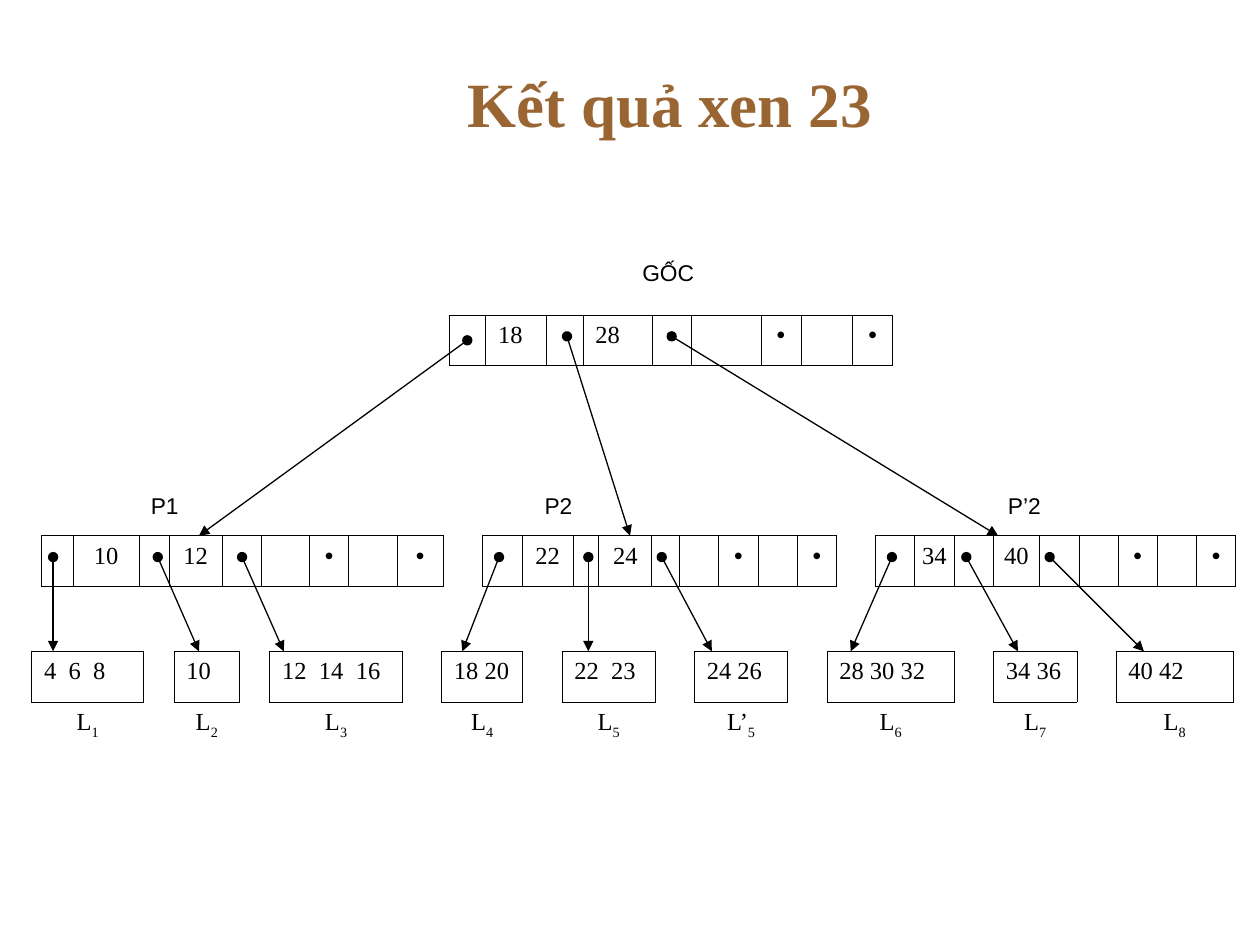
import pptx
import pptx.dml.color
import pptx.enum.shapes
import pptx.enum.text
import pptx.oxml
import pptx.oxml.ns
import pptx.util
import lxml.etree

Cm = pptx.util.Cm
Pt = pptx.util.Pt
ALIGN = pptx.enum.text.PP_ALIGN
MIDDLE = pptx.enum.text.MSO_ANCHOR.MIDDLE
qn = pptx.oxml.ns.qn
BLACK = pptx.dml.color.RGBColor(0x00, 0x00, 0x00)
BROWN = pptx.dml.color.RGBColor(0x99, 0x66, 0x33)
SERIF = "Times New Roman"
SANS = "Arial"


def add_run(paragraph, text, size, font_name, color=BLACK):
    run = paragraph.add_run()
    run.text = text
    run.font.size = Pt(size)
    run.font.name = font_name
    run.font.color.rgb = color
    return run


def add_grid(left, top, widths, heights, boxes, labels, align, padding):
    rows = [boxes, labels] if labels else [boxes]
    table = slide.shapes.add_table(
        len(rows), len(widths), Cm(left), Cm(top), Cm(sum(widths)), Cm(sum(heights))
    ).table
    table.first_row = False
    table.horz_banding = False
    for column, width in zip(table.columns, widths):
        column.width = Cm(width)
    for row, height in zip(table.rows, heights):
        row.height = Cm(height)
    boxed = {(0, c) for c, text in enumerate(boxes) if text is not None}
    for r, texts in enumerate(rows):
        for c, text in enumerate(texts):
            cell = table.cell(r, c)
            cell.margin_left = cell.margin_right = Cm(padding)
            cell.margin_top = cell.margin_bottom = Cm(0.13)
            properties = cell._tc.get_or_add_tcPr()
            neighbours = {"L": (r, c - 1), "R": (r, c + 1), "T": (r - 1, c), "B": (r + 1, c)}
            for side, neighbour in neighbours.items():
                edge = lxml.etree.SubElement(properties, qn("a:ln" + side), w=str(Pt(0.45)))
                if (r, c) in boxed or neighbour in boxed:
                    paint = lxml.etree.SubElement(edge, qn("a:solidFill"))
                    lxml.etree.SubElement(paint, qn("a:srgbClr"), val=str(BLACK))
                else:
                    lxml.etree.SubElement(edge, qn("a:noFill"))
            cell.fill.background()
            if not text:
                continue
            paragraph = cell.text_frame.paragraphs[0]
            paragraph.alignment = ALIGN.CENTER if r or text == "•" else align
            if r:
                add_run(paragraph, text[:-1], 14, SERIF)
                subscript = add_run(paragraph, text[-1], 14, SERIF)
                subscript._r.get_or_add_rPr().set("baseline", "-30000")
            else:
                add_run(paragraph, text, 14, SANS if text == "•" else SERIF)


prs = pptx.Presentation()
prs.slide_width = Cm(25.4)
prs.slide_height = Cm(19.05)
slide = prs.slides.add_slide(prs.slide_layouts[5])

title = slide.shapes.title
title.left, title.top, title.width, title.height = Cm(3.18), Cm(0.76), Cm(20.96), Cm(2.62)
title.text_frame.vertical_anchor = MIDDLE
heading = title.text_frame.paragraphs[0]
heading.alignment = ALIGN.CENTER
add_run(heading, "Kết quả xen 23 ", 36, SERIF, BROWN).font.bold = True

NODE_TOP = 10.8
LEAF_TOP = 13.13
POINTER_Y = 11.23
links = [
    (9.42, 6.86, 4.01, NODE_TOP),
    (11.43, 6.78, 12.7, NODE_TOP),
    (13.54, 6.78, 20.12, NODE_TOP),
]
leaf_links = [
    (1.07, 1.07), (3.18, 4.01), (4.88, 5.72),
    (10.06, 9.32), (11.86, 11.86), (13.34, 14.35),
    (17.98, 17.15), (19.48, 20.52), (21.16, 23.06),
]
links += [(start, POINTER_Y, end, LEAF_TOP) for start, end in leaf_links]
for x1, y1, x2, y2 in links:
    link = slide.shapes.add_connector(
        pptx.enum.shapes.MSO_CONNECTOR.STRAIGHT, Cm(x1), Cm(y1), Cm(x2), Cm(y2)
    )
    link.line.color.rgb = BLACK
    link.line.width = Pt(0.75)
    stroke = link.line._get_or_add_ln()
    lxml.etree.SubElement(stroke, qn("a:headEnd"), type="oval")
    lxml.etree.SubElement(stroke, qn("a:tailEnd"), type="triangle")
    lxml.etree.SubElement(link._element.spPr, qn("a:effectLst"))

captions = [
    ("GỐC", 12.7, 5.08, 1.55, 0.81, False, []),
    ("\tP1\tP2\tP’2", 1.27, 9.73, 23.06, 0.91, True, [1.52, 9.46, 18.8]),
]
for text, left, top, width, height, wraps, stops in captions:
    caption = slide.shapes.add_textbox(Cm(left), Cm(top), Cm(width), Cm(height)).text_frame
    caption.word_wrap = wraps
    caption.vertical_anchor = MIDDLE
    paragraph = caption.paragraphs[0]
    paragraph.alignment = ALIGN.LEFT
    if stops:
        tabs = lxml.etree.SubElement(paragraph._p.get_or_add_pPr(), qn("a:tabLst"))
        for stop in stops:
            lxml.etree.SubElement(tabs, qn("a:tab"), pos=str(Cm(stop)), algn="l")
    add_run(paragraph, text, 13, SANS)

GAP = 0.79
root_widths = [3.33, 0.74, 1.22, 0.74, 1.4, 0.79, 1.4, 0.81, 1.04, 0.81]
root_boxes = [None, "", "18", "", "28", "", "", "•", "", "•"]
add_grid(5.72, 6.35, root_widths, [1.02], root_boxes, None, ALIGN.JUSTIFY, 0.25)

node_widths = (
    [0.64, 1.32, 0.61, 1.07, 0.79, 0.97, 0.79, 0.97, 0.94, GAP]
    + [0.79, 1.04, 0.51, 1.07, 0.56] + [0.79] * 4 + [GAP]
    + [0.79] * 3 + [0.94] + [0.79] * 5
)
node_boxes = []
for first, second in [("10", "12"), ("22", "24"), ("34", "40")]:
    if node_boxes:
        node_boxes.append(None)
    node_boxes += ["", first, "", second, "", "", "•", "", "•"]
add_grid(0.84, NODE_TOP, node_widths, [1.02], node_boxes, None, ALIGN.CENTER, 0.13)

leaves = [
    ("4  6  8", "L1", 2.26, 0.61),
    ("10", "L2", 1.32, 0.61),
    ("12  14  16", "L3", 2.67, GAP),
    ("18 20", "L4", 1.64, GAP),
    ("22  23", "L5", 1.88, GAP),
    ("24 26", "L’5", 1.88, GAP),
    ("28 30 32", "L6", 2.57, GAP),
    ("34 36", "L7", 1.68, GAP),
    ("40 42", "L8", 2.36, GAP),
]
leaf_widths, leaf_boxes, leaf_labels = [], [], []
for keys, label, width, gap in leaves:
    leaf_widths += [width, gap]
    leaf_boxes += [keys, None]
    leaf_labels += [label, None]
add_grid(0.64, LEAF_TOP, leaf_widths[:-1], [1.02, 0.97],
         leaf_boxes[:-1], leaf_labels[:-1], ALIGN.JUSTIFY, 0.25)

prs.save("out.pptx")
